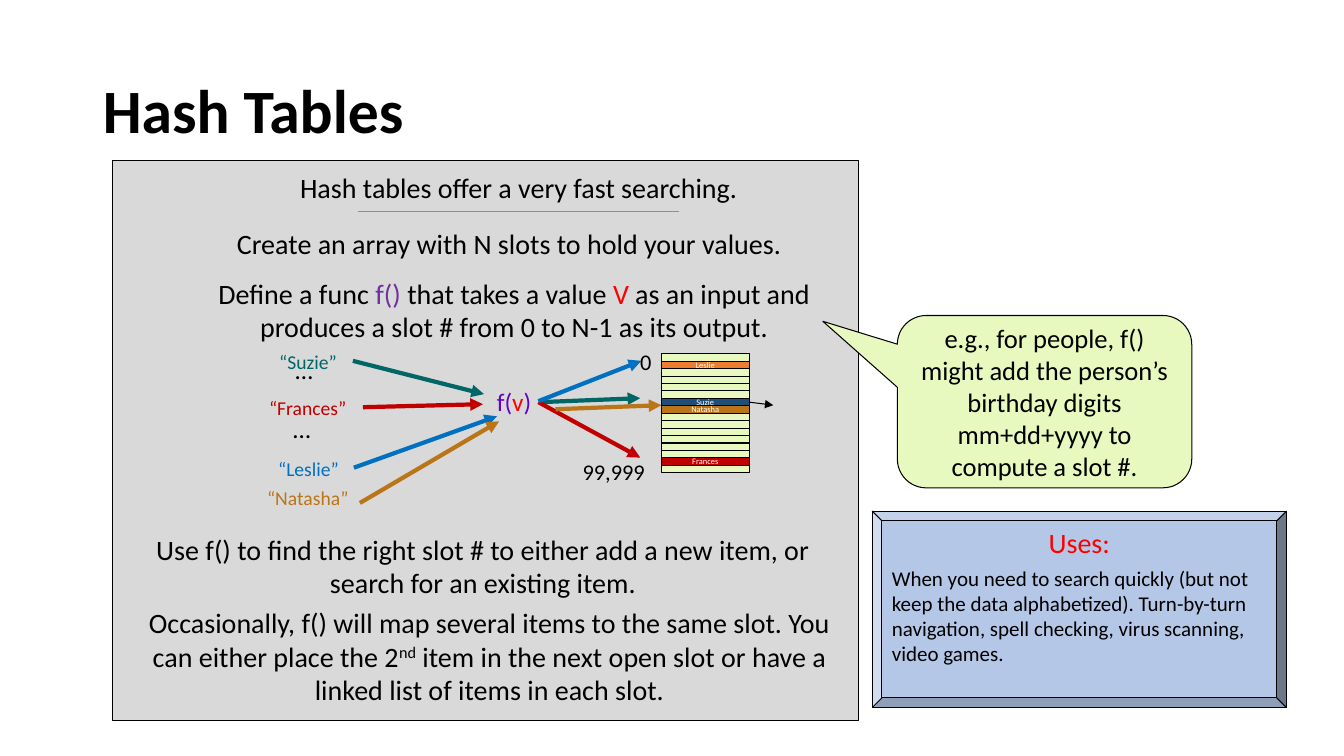
import lxml.etree
import pptx
import pptx.dml.color
import pptx.enum.shapes
import pptx.enum.text
import pptx.oxml.ns
import pptx.util

SHAPE = pptx.enum.shapes.MSO_SHAPE
ALIGN = pptx.enum.text.PP_ALIGN
ANCHOR = pptx.enum.text.MSO_ANCHOR
WIDE, HIGH = 13.33, 7.5
UNIT = pptx.util.Inches(1)
HUES = {
    "black": "000000", "white": "FFFFFF", "panel": "D9D9D9", "slot": "E7F9BF",
    "uses": "B4C7E7", "rule": "70AD47", "red": "FF0000", "purple": "7030A0",
    "violet": "6600CC", "teal": "006666", "crimson": "C00000", "blue": "0070C0",
    "brown": "BA7518", "navy": "1F4E79", "orange": "ED7D31",
}


def hue(name):
    """Turn a palette name into a colour."""
    return pptx.dml.color.RGBColor.from_string(HUES[name])


def grid(*cells):
    """Turn columns and rows of the one-inch grid into lengths."""
    return [round(cell * UNIT) for cell in cells]


def inner(box, left, top, wide, high):
    """Place a part relative to the corner of a box."""
    return box[0] + left, box[1] + top, wide, high


def write(frame, *runs, size=20, color="black", align=ALIGN.CENTER, bold=False,
          anchor=ANCHOR.TOP, first=True, before=0):
    """Write one paragraph from strings or (string, colour, baseline) runs."""
    frame.word_wrap = True
    frame.vertical_anchor = anchor
    para = frame.paragraphs[0] if first else frame.add_paragraph()
    para.alignment = align
    para.space_before = pptx.util.Pt(before)
    for item in runs:
        words, tint, base = (item, color, 0) if isinstance(item, str) else item
        run = para.add_run()
        run.text = words
        run.font.name = "Calibri"
        run.font.size = pptx.util.Pt(size)
        run.font.bold = bold
        run.font.color.rgb = hue(tint)
        if base:
            run._r.get_or_add_rPr().set("baseline", str(base * 1000))
    return para


def label(slide, box, *runs, **form):
    """Add a text box."""
    write(slide.shapes.add_textbox(*grid(*box)).text_frame, *runs, **form)


def block(slide, kind, box, fill):
    """Add a filled shape with a thin black outline."""
    shape = slide.shapes.add_shape(kind, *grid(*box))
    shape.shadow.inherit = False
    shape.fill.solid()
    shape.fill.fore_color.rgb = hue(fill)
    shape.line.color.rgb = hue("black")
    shape.line.width = pptx.util.Pt(0.75)
    return shape


def link(slide, box, start, end, color, width=3, head=True):
    """Draw a line or an arrow between two points of a box."""
    ends = [base + step for point in (start, end) for base, step in zip(box, point)]
    line = slide.shapes.add_connector(
        pptx.enum.shapes.MSO_CONNECTOR.STRAIGHT, *grid(*ends))
    line.line.color.rgb = hue(color)
    line.line.width = pptx.util.Pt(width)
    if head:
        tail = lxml.etree.SubElement(
            line.line._get_or_add_ln(), pptx.oxml.ns.qn("a:tailEnd"))
        tail.set("type", "triangle")
    lxml.etree.SubElement(line._element.spPr, pptx.oxml.ns.qn("a:effectLst"))
    return line


def title(slide, box, words):
    """Fill and place the title placeholder."""
    shape = slide.shapes.title
    shape.left, shape.top, shape.width, shape.height = grid(*box)
    para = write(shape.text_frame, words, size=44, bold=True,
                 align=ALIGN.LEFT, anchor=ANCHOR.MIDDLE)
    para.line_spacing = 0.9


def panel(slide, box):
    """Build the grey panel with its statements."""
    block(slide, SHAPE.RECTANGLE, box, "panel")
    notes = [
        ((0.59, 0.05, 6.87, 0.44), ["Hash tables offer a very fast searching."]),
        ((0.31, 0.61, 7.24, 0.44),
         ["Create an array with N slots to hold your values."]),
        ((0.48, 1.1, 7, 0.77),
         ["Define a func ", ("f() ", "purple", 0), "that takes a value ",
          ("V", "red", 0),
          " as an input and produces a slot # from 0 to N-1 as its output."]),
        ((0.29, 3.64, 6.76, 0.77),
         ["Use f() to find the right slot # to either add a new item, "
          "or search for an existing item."]),
        ((0.24, 4.37, 6.99, 1.11),
         ["Occasionally, f() will map several items to the same slot. "
          "You can either place the 2", ("nd", "black", 30),
          " item in the next open slot or have a linked list of items in each slot."]),
    ]
    for place, runs in notes:
        label(slide, inner(box, *place), *runs)
    link(slide, box, (2.43, 0.51), (5.61, 0.51), "rule", 0.5, False)


def names(slide, box):
    """Show the input names and their arrows through the function."""
    keys = [
        ("“Suzie”", "teal", (0.12, 0.02, 0.82), (0.95, 0.18), (2.25, 0.51),
         (2.8, 0.59), (3.8, 0.55)),
        ("“Frances”", "crimson", (0.02, 0.48, 1.03), (1.05, 0.64), (2.24, 0.61),
         (2.79, 0.59), (3.8, 1.14)),
        ("“Leslie”", "blue", (0.11, 1.08, 0.84), (0.96, 1.24), (2.38, 0.73),
         (2.79, 0.58), (3.81, 0.18)),
        ("“Natasha”", "brown", (0, 1.37, 1.21), (1.02, 1.59), (2.4, 0.78),
         (2.96, 0.66), (4.01, 0.62)),
    ]
    for word, tint, place, start, end, leave, reach in keys:
        label(slide, inner(box, *place, 0.31), word, size=14, color=tint,
              align=ALIGN.LEFT)
        link(slide, box, start, end, tint)
        link(slide, box, leave, reach, tint)
    for left, top in ((0.28, 0.07), (0.26, 0.65)):
        label(slide, inner(box, left, top, 0.41, 0.47), "…", size=18,
              align=ALIGN.LEFT)
    label(slide, inner(box, 2.28, 0.38, 0.78, 0.5), "f(", ("v", "red", 0), ")",
          size=18, color="violet", align=ALIGN.LEFT)


def array(slide, box, count=16):
    """Stack the slots of the array and fill the used ones."""
    used = {1: ("Leslie", "orange"), 6: ("Suzie", "navy"),
            7: ("Natasha", "brown"), 14: ("Frances", "crimson")}
    step = box[3] / count
    cells = {}
    for row in sorted(range(count), key=lambda row: row in used):
        word, fill = used.get(row, ("", "slot"))
        cell = block(slide, SHAPE.RECTANGLE,
                     inner(box, 0, row * step, box[2], step), fill)
        cells[row] = cell
        if word:
            frame = cell.text_frame
            frame.margin_top = frame.margin_bottom = 0
            write(frame, word, size=6, color="white", anchor=ANCHOR.MIDDLE)
    for word, place in (("0", (-0.31, -0.11, 0.34, 0.34)),
                        ("99,999", (-0.88, 0.99, 0.95, 0.34))):
        label(slide, inner(box, *place), word, size=16, align=ALIGN.LEFT)
    arrow = link(slide, box, (0.87, 0.48), (1.11, 0.51), "black", 0.75)
    arrow.begin_connect(cells[6], 3)


def bubble(slide, box):
    """Add the example callout."""
    shape = block(slide, SHAPE.ROUNDED_RECTANGULAR_CALLOUT, box, "slot")
    for index, value in enumerate((-0.753, -0.466, 0.167)):
        shape.adjustments[index] = value
    write(shape.text_frame,
          "e.g., for people, f() might add the person’s birthday digits "
          "mm+dd+yyyy to compute a slot #.", size=19, anchor=ANCHOR.MIDDLE)


def uses(slide, box):
    """Add the bevelled box of uses."""
    shape = block(slide, SHAPE.BEVEL, box, "uses")
    shape.adjustments[0] = 0.05
    write(shape.text_frame, "Uses:", color="red")
    write(shape.text_frame,
          "When you need to search quickly (but not keep the data alphabetized). "
          "Turn-by-turn navigation, spell checking, virus scanning, video games.",
          size=15, align=ALIGN.LEFT, first=False, before=4)


def main():
    """Build and save the slide."""
    deck = pptx.Presentation()
    deck.slide_width, deck.slide_height = grid(WIDE, HIGH)
    slide = deck.slides.add_slide(deck.slide_layouts[5])
    title(slide, (0.92, 0.4, 11.5, 1.45), "Hash Tables")
    panel(slide, (1.12, 1.59, 7.4, 5.56))
    names(slide, (2.55, 3.4, 4, 1.7))
    array(slide, (6.56, 3.51, 0.87, 1.18))
    bubble(slide, (8.9, 3.13, 2.92, 1.71))
    uses(slide, (8.65, 5.07, 4.11, 1.95))
    deck.save("out.pptx")


if __name__ == "__main__":
    main()
